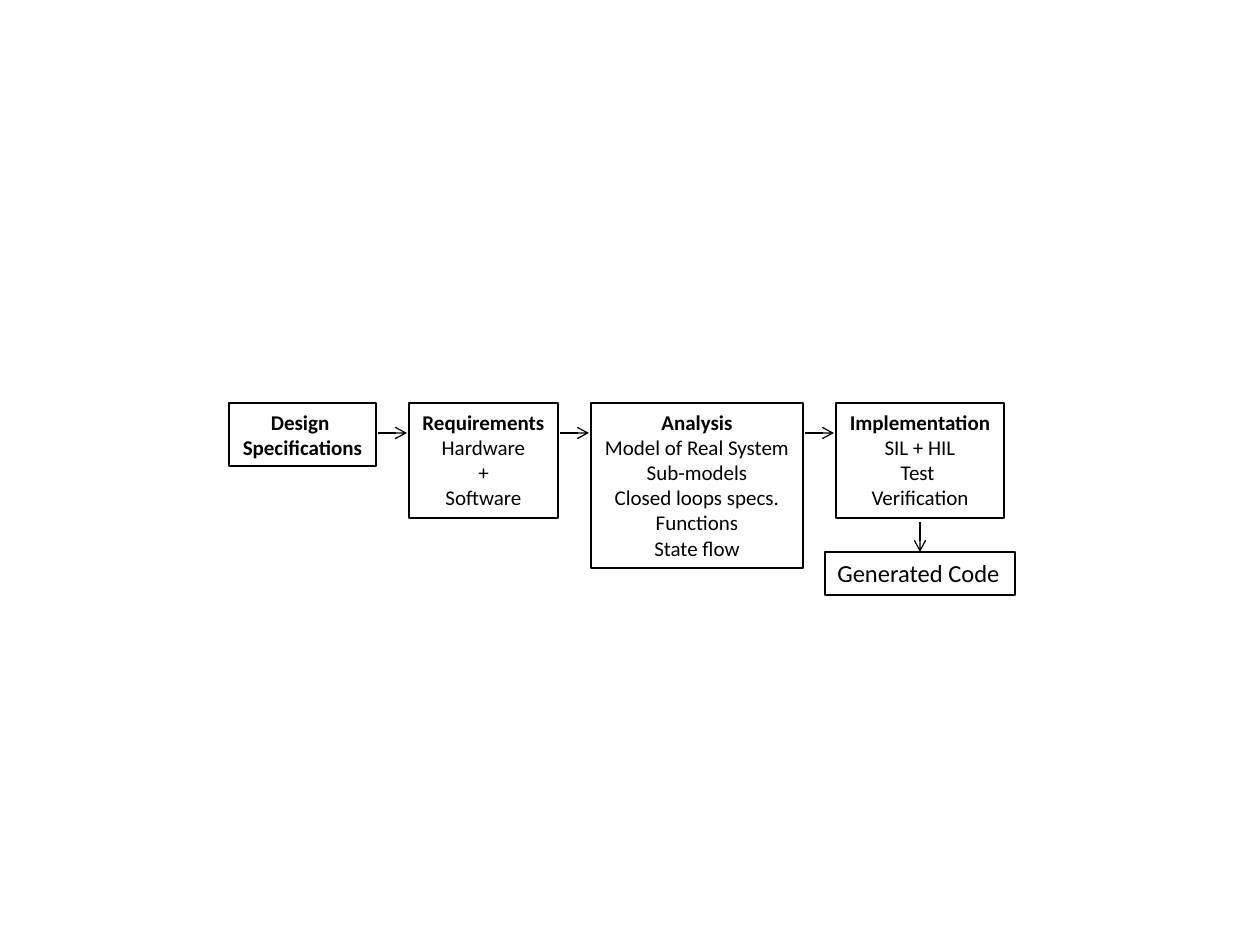
import pptx
import pptx.dml.color
import pptx.enum.shapes
import pptx.enum.text
import pptx.oxml.ns
import pptx.util
from lxml import etree

PX = 914400 // 126
BLACK = pptx.dml.color.RGBColor(0, 0, 0)
ALIGN = pptx.enum.text.PP_ALIGN
FONT = {"name": "Calibri", "bold": False}
FRAME = {
    "word_wrap": False,
    "auto_size": pptx.enum.text.MSO_AUTO_SIZE.SHAPE_TO_FIT_TEXT,
    "vertical_anchor": pptx.enum.text.MSO_ANCHOR.TOP,
}
LINE = {"width": pptx.util.Pt(0.75)}

GAP = 33
ARROW_INSET = 2
ARROW_DROP = 30
STAGES = [  # width, height, bold line count, lines
    (147, 63, 2, ["Design ", "Specifications"]),
    (149, 115, 1, ["Requirements", "Hardware", "+", "Software"]),
    (212, 165, 1, ["Analysis", "Model of Real System", "Sub-models",
                   "Closed loops specs.", "Functions", "State flow"]),
    (168, 115, 1, ["Implementation", "SIL + HIL", "Test ", "Verification"]),
]


def set_all(obj, values):
    for name, value in values.items():
        setattr(obj, name, value)


def style_line(line):
    line.color.rgb = BLACK
    set_all(line, LINE)


def add_box(s, x, y, w, h, lines, size=12, bold_count=0, align=ALIGN.CENTER):
    sp = s.shapes.add_shape(pptx.enum.shapes.MSO_SHAPE.RECTANGLE,
                            x * PX, y * PX, w * PX, h * PX)
    sp.shadow.inherit = False
    sp.fill.background()
    style_line(sp.line)
    tf = sp.text_frame
    set_all(tf, FRAME)
    for i, text in enumerate(lines):
        p = tf.add_paragraph() if i else tf.paragraphs[0]
        p.alignment = align
        r = p.add_run()
        r.text = text
        set_all(r.font, FONT | {"size": pptx.util.Pt(size), "bold": i < bold_count})
        r.font.color.rgb = BLACK
    return sp


def add_arrow(s, x1, y1, x2, y2):
    c = s.shapes.add_connector(pptx.enum.shapes.MSO_CONNECTOR.STRAIGHT,
                               x1 * PX, y1 * PX, x2 * PX, y2 * PX)
    style_line(c.line)
    qn = pptx.oxml.ns.qn
    etree.SubElement(c.line._get_or_add_ln(), qn("a:tailEnd"), type="arrow")
    etree.SubElement(c._element.spPr, qn("a:effectLst"))
    return c


def add_stages(s, x, y):
    """Draw the row of stages and return the box (x, y, w, h) of the last one."""
    for i, (w, h, bold_count, lines) in enumerate(STAGES):
        if i:
            add_arrow(s, x - GAP + ARROW_INSET, y + ARROW_DROP,
                      x - ARROW_INSET, y + ARROW_DROP)
        add_box(s, x, y, w, h, lines, bold_count=bold_count)
        box = x, y, w, h
        x += w + GAP
    return box


def add_output(s, x, y, w, h):
    """Draw the code box centred below the given stage box, with its arrow."""
    width, height = 190, 43
    mid, top = x + w // 2, y + h + 34
    sp = add_box(s, mid - width // 2, top, width, height,
                 ["Generated Code"], size=14, align=ALIGN.LEFT)
    add_arrow(s, mid, y + h + 4, mid, top).end_connect(sp, 0)


def main():
    prs = pptx.Presentation()
    prs.slide_width = pptx.util.Inches(10)
    prs.slide_height = pptx.util.Inches(7.5)
    s = prs.slides.add_slide(prs.slide_layouts[6])
    add_output(s, *add_stages(s, 229, 403))
    prs.save("out.pptx")


if __name__ == "__main__":
    main()
